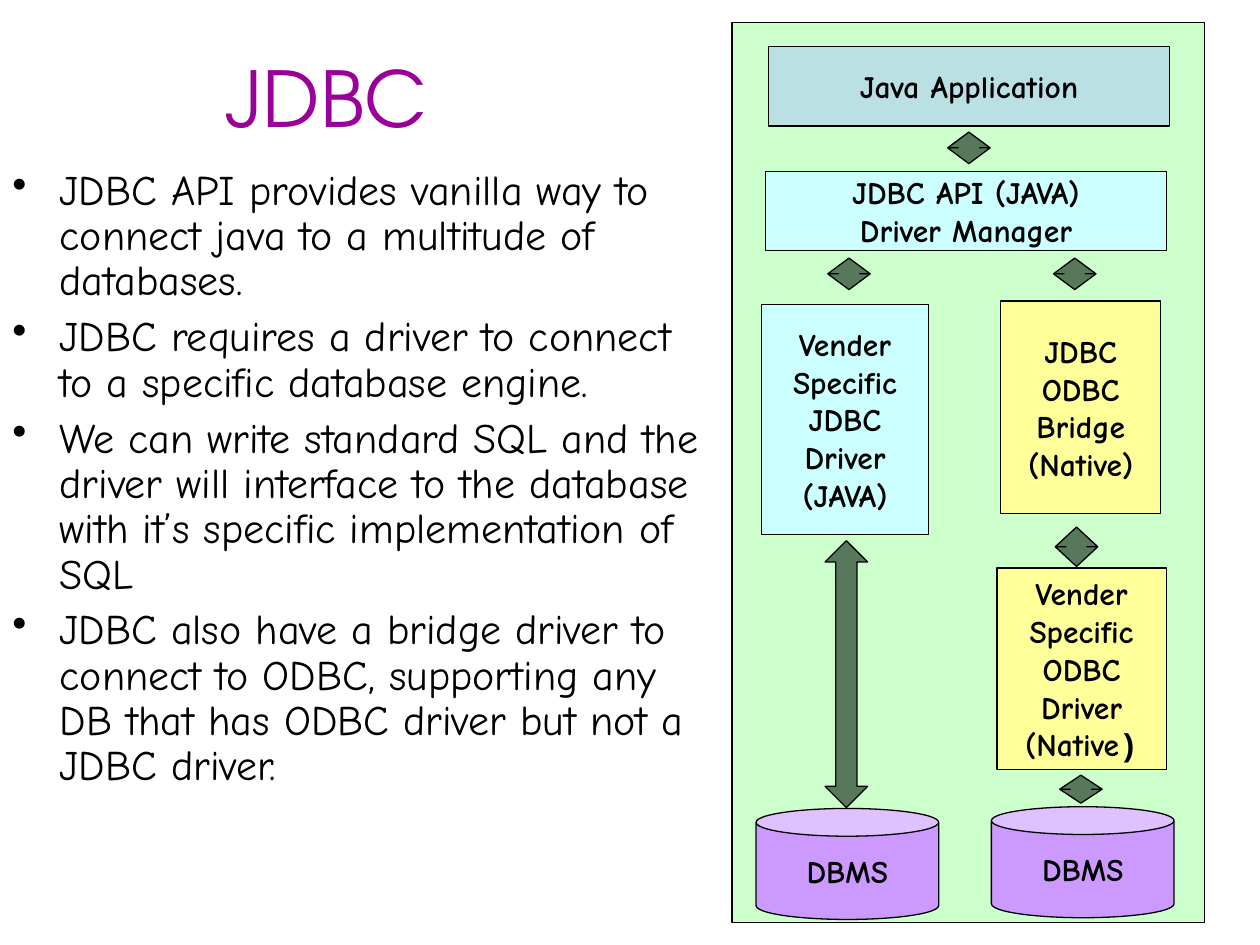
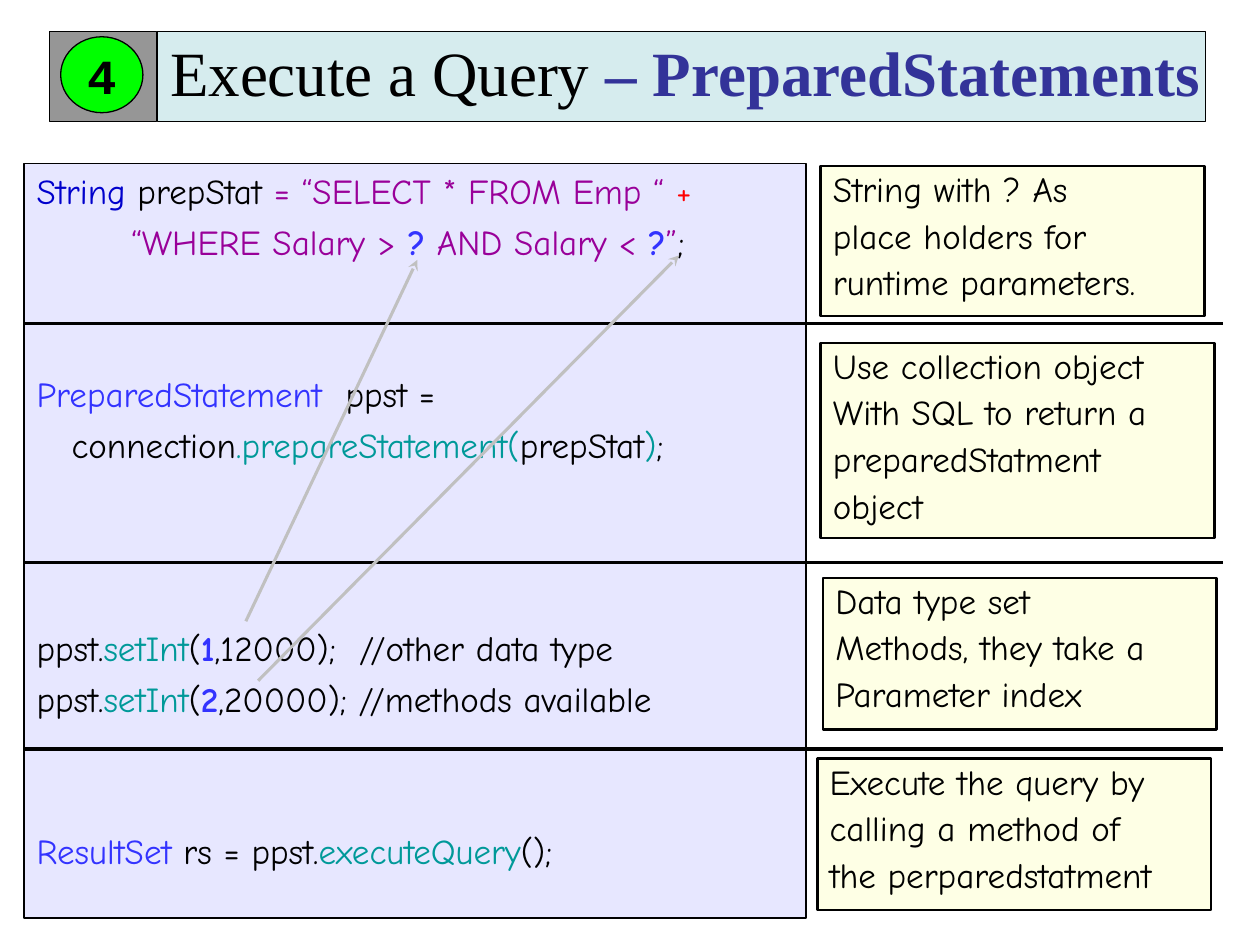
import lxml.etree
import pptx
import pptx.dml.color
import pptx.enum.shapes
import pptx.enum.text
import pptx.oxml.ns
import pptx.util

Pt = pptx.util.Pt
qn = pptx.oxml.ns.qn
SHAPE = pptx.enum.shapes.MSO_SHAPE
ALIGN = pptx.enum.text.PP_ALIGN
ANCHOR = pptx.enum.text.MSO_ANCHOR
LINE = pptx.enum.shapes.MSO_CONNECTOR.STRAIGHT

COLORS = {
    "black": "000000", "purple": "990099", "panel": "CCFFCC", "application": "BBE0E3",
    "java": "CCFFFF", "native": "FFFF99", "database": "CC99FF", "arrow": "58785B",
    "note": "FEFFE5", "banner": "D6ECEE", "navy": "333399", "grey": "969696",
    "badge": "00FF00", "code": "E7E7FF", "keyword": "0000CC", "red": "FF0000",
    "blue": "3333FF", "teal": "009999", "pointer": "C0C0C0",
}
RGB = {name: pptx.dml.color.RGBColor.from_string(value) for name, value in COLORS.items()}
BODY_FONT = "Comic Neue"
TITLE_FONT = "TeX Gyre Adventor"
BANNER_FONT = "Times New Roman"
MONO_FONT = "Courier New"


def add_box(slide, kind, box, fill, line_width=0.75, adjustments=()):
    shape = slide.shapes.add_shape(kind, *map(Pt, box))
    shape.shadow.inherit = False
    shape.fill.solid()
    shape.fill.fore_color.rgb = RGB[fill]
    shape.line.color.rgb = RGB["black"]
    shape.line.width = Pt(line_width)
    for index, value in enumerate(adjustments):
        shape.adjustments[index] = value
    return shape


def write_text(shape, lines, size, font=BODY_FONT, bold=False, align=ALIGN.LEFT,
               anchor=ANCHOR.TOP, wrap=True, spacing=1.0, before=0):
    frame = shape.text_frame
    frame.auto_size = pptx.enum.text.MSO_AUTO_SIZE.NONE
    frame.word_wrap = wrap
    frame.vertical_anchor = anchor
    frame.margin_left = frame.margin_right = Pt(7.2)
    frame.margin_top = frame.margin_bottom = Pt(3.6)
    for index, line in enumerate(lines):
        paragraph = frame.add_paragraph() if index else frame.paragraphs[0]
        paragraph.alignment = align
        paragraph.line_spacing = spacing
        paragraph.space_before = Pt(before)
        for text, color, *style in [(line, "black")] if isinstance(line, str) else line:
            run = paragraph.add_run()
            run.text = text
            run.font.size = Pt(size)
            run.font.color.rgb = RGB[color]
            run.font.bold = bold or "bold" in style
            run.font.name = MONO_FONT if "mono" in style else font
    return frame.paragraphs


presentation = pptx.Presentation()
presentation.slide_width = Pt(720)
presentation.slide_height = Pt(540)
title_only = presentation.slide_layouts[5]

slide = presentation.slides.add_slide(title_only)
title = slide.shapes.title
title.left, title.top, title.width, title.height = map(Pt, (49, 20, 275, 70.5))
write_text(title, [[("JDBC", "purple")]], 44, TITLE_FONT, align=ALIGN.CENTER, anchor=ANCHOR.MIDDLE)

body = slide.shapes.add_textbox(Pt(0), Pt(93), Pt(407.5), Pt(447))
bullets = write_text(body, [
    "JDBC API provides vanilla way to connect java to a multitude of databases.",
    "JDBC requires a driver to connect to a specific database engine.",
    "We can write standard SQL and the driver will interface to the database "
    "with it’s specific implementation of SQL",
    "JDBC also have a bridge driver to connect to ODBC, supporting any DB "
    "that has ODBC driver but not a JDBC driver.",
], 24, spacing=0.9, before=6)
for paragraph in bullets:
    properties = paragraph._p.get_or_add_pPr()
    properties.set("marL", str(Pt(27)))
    properties.set("indent", str(Pt(-27)))
    bullet_color = lxml.etree.SubElement(properties, qn("a:buClr"))
    lxml.etree.SubElement(bullet_color, qn("a:srgbClr"), val=COLORS["black"])
    lxml.etree.SubElement(properties, qn("a:buChar"), char="•")

add_box(slide, SHAPE.RECTANGLE, (418.3, 13, 270, 514), "panel")
components = [
    (SHAPE.RECTANGLE, (439.2, 26.6, 229, 45.4), "application", ["Java Application"]),
    (SHAPE.RECTANGLE, (437.5, 97.9, 229, 45.4), "java", ["JDBC API (JAVA)", "Driver Manager"]),
    (SHAPE.RECTANGLE, (435, 174, 95.8, 131.3), "java",
     ["Vender", "Specific", "JDBC", "Driver", "(JAVA)"]),
    (SHAPE.RECTANGLE, (571.9, 172, 91.4, 121.6), "native",
     ["JDBC", "ODBC", "Bridge", "(Native)"]),
    (SHAPE.RECTANGLE, (569.7, 324.6, 96.7, 115), "native",
     ["Vender", "Specific", "ODBC", "Driver", [("(Native", "black"), (")", "black", "mono")]]),
    (SHAPE.CAN, (432, 462, 104.4, 63.4), "database", ["DBMS"]),
    (SHAPE.CAN, (566.5, 461, 104.4, 63.4), "database", ["DBMS"]),
]
for kind, box, fill, lines in components:
    component = add_box(slide, kind, box, fill)
    write_text(component, lines, 18, bold=True, align=ALIGN.CENTER, anchor=ANCHOR.MIDDLE, wrap=False)

for left, top, height, head in [
    (541.5, 75.5, 18, 0.2), (473, 147.5, 18, 0.2), (602, 147.5, 18, 0.2),
    (603, 301.2, 22.5, 0.2), (605.5, 443, 16, 0.2), (471.5, 309, 152.5, 0.57),
]:
    add_box(slide, SHAPE.UP_DOWN_ARROW, (left, top, 24.3, height), "arrow", adjustments=(head, 0.5))

slide = presentation.slides.add_slide(title_only)
title = slide.shapes.title
title.left, title.top, title.width, title.height = map(Pt, (90, 18, 599, 51.3))
title.fill.solid()
title.fill.fore_color.rgb = RGB["banner"]
title.line.color.rgb = RGB["black"]
title.line.width = Pt(0.75)
write_text(title, [[("Execute a Query ", "black"), ("– PreparedStatements", "navy", "bold")]],
           36, BANNER_FONT, anchor=ANCHOR.MIDDLE, wrap=False, spacing=0.9, before=9)
title.text_frame.margin_right = Pt(0)

add_box(slide, SHAPE.RECTANGLE, (28.3, 18, 61.4, 51.3), "grey")
badge = add_box(slide, SHAPE.OVAL, (34.7, 21, 47, 43.4), "badge")
write_text(badge, ["4"], 28, MONO_FONT, bold=True, align=ALIGN.CENTER, anchor=ANCHOR.MIDDLE, wrap=False)

code_lines = [
    (0, 0, [("String", "keyword"), (" prepStat", "black"),
            (" = “SELECT * FROM Emp “ ", "purple"), ("+", "red")]),
    (0, 54, [("“WHERE Salary > ", "purple"), ("?", "blue", "bold"), (" AND Salary < ", "purple"),
             ("?", "blue", "bold"), ("”", "purple"), (";", "black")]),
    (2, 0, [("PreparedStatement  ", "blue"), ("ppst =", "black")]),
    (0, 20, [("connection", "black"), (".prepareStatement(", "teal"), ("prepStat", "black"),
             (")", "teal"), (";", "black")]),
    (3, 0, [("ppst.", "black"), ("setInt", "teal"), ("(", "black"), ("1", "blue", "bold"),
            (",12000);  //other data type", "black")]),
    (0, 0, [("ppst.", "black"), ("setInt", "teal"), ("(", "black"), ("2", "blue", "bold"),
            (",20000); //methods available", "black")]),
    (2, 0, [("ResultSet", "blue"), (" rs = ppst.", "black"), ("executeQuery", "teal"), ("();", "black")]),
]
code = add_box(slide, SHAPE.RECTANGLE, (13.8, 93.4, 447, 431), "code", 1)
paragraphs = write_text(code, [runs for skipped, indent, runs in code_lines], 20, before=5)
for paragraph, (skipped, indent, runs) in zip(paragraphs, code_lines):
    paragraph.space_before = Pt(5 + 29 * skipped)
    paragraph._p.get_or_add_pPr().set("marL", str(Pt(indent)))

notes = [
    ((468.9, 95, 219.5, 85.6), ["String with ? As", "place holders for", "runtime parameters."]),
    ((468.9, 196, 225, 111.5),
     ["Use collection object", "With SQL to return a", "preparedStatment", "object"]),
    ((470.3, 330.3, 225, 86.5), ["Data type set", "Methods, they take a", "Parameter index"]),
    ((467, 433.6, 225, 86.5), ["Execute the query by", "calling a method of", "the perparedstatment"]),
]
for box, lines in notes:
    note = add_box(slide, SHAPE.RECTANGLE, box, "note", 1.5)
    write_text(note, lines, 20, spacing=0.9, before=5)

rules = [(14, y, 699, y, "black", 2) for y in (184.8, 321.5, 428.1)]
pointers = [
    (140.5, 355, 238.5, 148.5, "pointer", 1.75),
    (147.5, 389, 388, 146, "pointer", 1.75),
]
for x1, y1, x2, y2, color, width in rules + pointers:
    connector = slide.shapes.add_connector(LINE, Pt(x1), Pt(y1), Pt(x2), Pt(y2))
    connector.line.color.rgb = RGB[color]
    connector.line.width = Pt(width)
    if color == "pointer":
        lxml.etree.SubElement(connector.line._get_or_add_ln(), qn("a:tailEnd"), type="stealth")
    lxml.etree.SubElement(connector._element.spPr, qn("a:effectLst"))

presentation.save("out.pptx")
